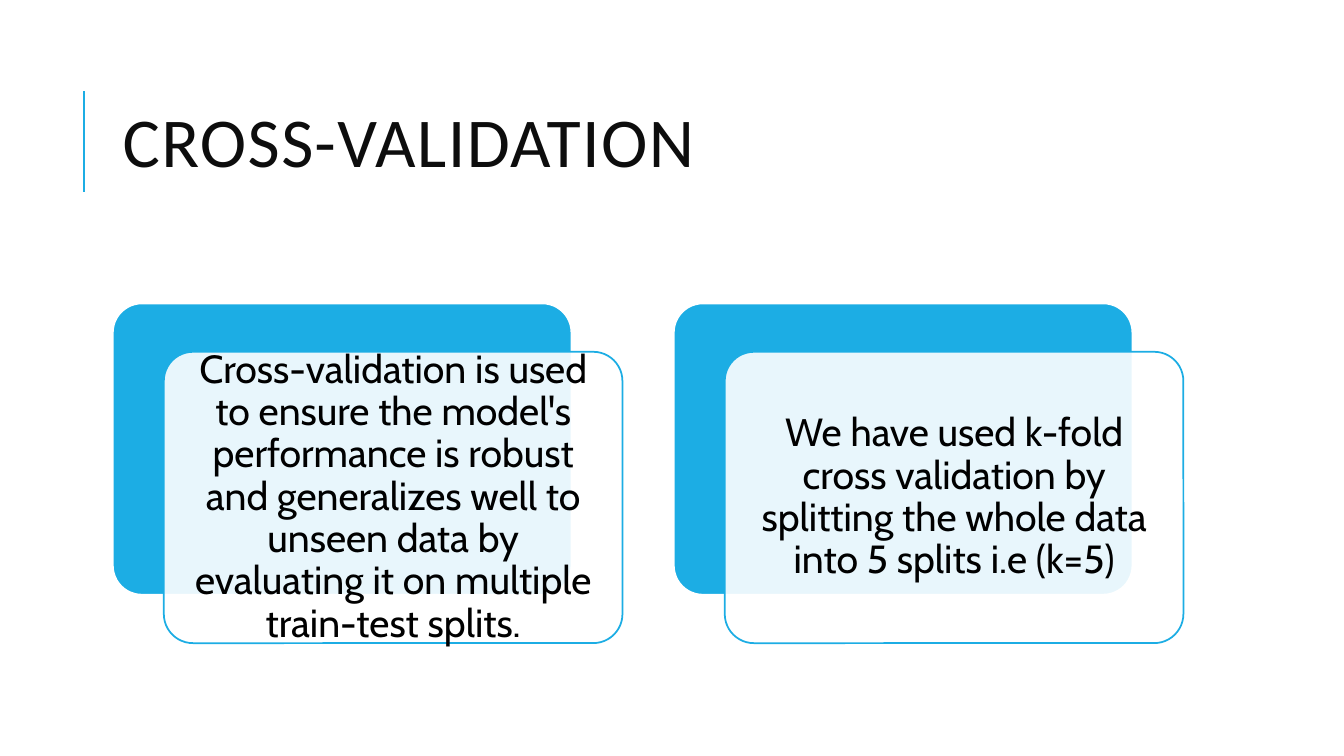
from dataclasses import dataclass

import lxml.etree
import pptx
import pptx.dml.color
import pptx.enum.shapes
import pptx.enum.text
import pptx.oxml.ns
import pptx.util

Pt = pptx.util.Pt
Align = pptx.enum.text.PP_ALIGN
qn = pptx.oxml.ns.qn


@dataclass(frozen=True)
class Theme:
    blue: str = "1CADE4"
    white: str = "FFFFFF"
    ink: str = "0D0D0D"
    black: str = "000000"
    head_font: str = "Calibri"
    body_font: str = "Cabin"
    head_size: float = 50
    body_size: float = 28
    rule: float = 1.5
    edge: float = 1.25


@dataclass(frozen=True)
class Box:
    left: float
    top: float
    width: float
    height: float

    def shift(self, right: float, down: float) -> "Box":
        return Box(self.left + right, self.top + down, self.width, self.height)

    def inset(self, gap: float) -> "Box":
        return Box(self.left + gap, self.top + gap,
                   self.width - 2 * gap, self.height - 2 * gap)

    def size(self) -> tuple:
        return Pt(self.left), Pt(self.top), Pt(self.width), Pt(self.height)


THEME = Theme()
TITLE = Box(80.6, 46.1, 765.4, 118.1)
CARD = Box(80.6, 216.7, 327.6, 208.1)
PITCH = 400.7
STEP = (36.4, 34.6)
GAP = 6.1
POINTS = (
    "Cross-validation is used to ensure the model's performance is robust and "
    "generalizes well to unseen data by evaluating it on multiple train-test splits.",
    "We have used k-fold cross validation by splitting the whole data into "
    "5 splits i.e (k=5)",
)


def color(code: str) -> pptx.dml.color.RGBColor:
    return pptx.dml.color.RGBColor.from_string(code)


def add_text(slide, box: Box, text: str, *, font: str, size: float, ink: str,
             align=Align.LEFT, lines: float = 1, pad: tuple = (7.2, 3.6),
             track: float = 0) -> None:
    """Add a middle-anchored text box; pad is (side, top), track is in points."""
    frame = slide.shapes.add_textbox(*box.size()).text_frame
    frame.word_wrap = True
    frame.vertical_anchor = pptx.enum.text.MSO_ANCHOR.MIDDLE
    frame.margin_left = frame.margin_right = Pt(pad[0])
    frame.margin_top = frame.margin_bottom = Pt(pad[1])
    para = frame.paragraphs[0]
    para.alignment = align
    para.line_spacing = lines
    run = para.add_run()
    run.text = text
    run.font.name = font
    run.font.size = Pt(size)
    run.font.color.rgb = color(ink)
    if track:
        run.font._element.set("spc", str(round(track * 100)))


def add_panel(slide, box: Box, edge: str, alpha: int = 100,
              fill: str = THEME.white) -> None:
    """Add a rounded panel; alpha is the fill's opacity in percent."""
    kind = pptx.enum.shapes.MSO_SHAPE.ROUNDED_RECTANGLE
    panel = slide.shapes.add_shape(kind, *box.size())
    panel.adjustments[0] = 0.1
    panel.shadow.inherit = False
    panel.fill.solid()
    panel.fill.fore_color.rgb = color(fill)
    panel.line.color.rgb = color(edge)
    panel.line.width = Pt(THEME.edge)
    if alpha < 100:
        tone = panel._element.spPr.find(qn("a:solidFill"))[0]
        lxml.etree.SubElement(tone, qn("a:alpha"), val=str(alpha * 1000))


def add_card(slide, box: Box, text: str) -> None:
    front = box.shift(*STEP)
    add_panel(slide, box, THEME.white, fill=THEME.blue)
    add_panel(slide, front, THEME.blue, alpha=90)
    add_text(slide, front.inset(GAP), text, font=THEME.body_font,
             size=THEME.body_size, ink=THEME.black, align=Align.CENTER,
             lines=0.9, pad=(8.4, 8.4))


def add_rule(slide, left: float, top: float, end: float) -> None:
    rule = slide.shapes.add_connector(
        pptx.enum.shapes.MSO_CONNECTOR.STRAIGHT, Pt(left), Pt(end), Pt(left), Pt(top))
    rule.line.color.rgb = color(THEME.blue)
    rule.line.width = Pt(THEME.rule)
    lxml.etree.SubElement(rule._element.spPr, qn("a:effectLst"))


def main() -> None:
    deck = pptx.Presentation()
    deck.slide_width, deck.slide_height = Pt(960), Pt(540)
    slide = deck.slides.add_slide(deck.slide_layouts[6])
    add_rule(slide, 60, 65, 137)
    add_text(slide, TITLE, "CROSS-VALIDATION", font=THEME.head_font,
             size=THEME.head_size, ink=THEME.ink, lines=0.8, track=1)
    for spot, text in enumerate(POINTS):
        add_card(slide, CARD.shift(spot * PITCH, 0), text)
    deck.save("out.pptx")


if __name__ == "__main__":
    main()
